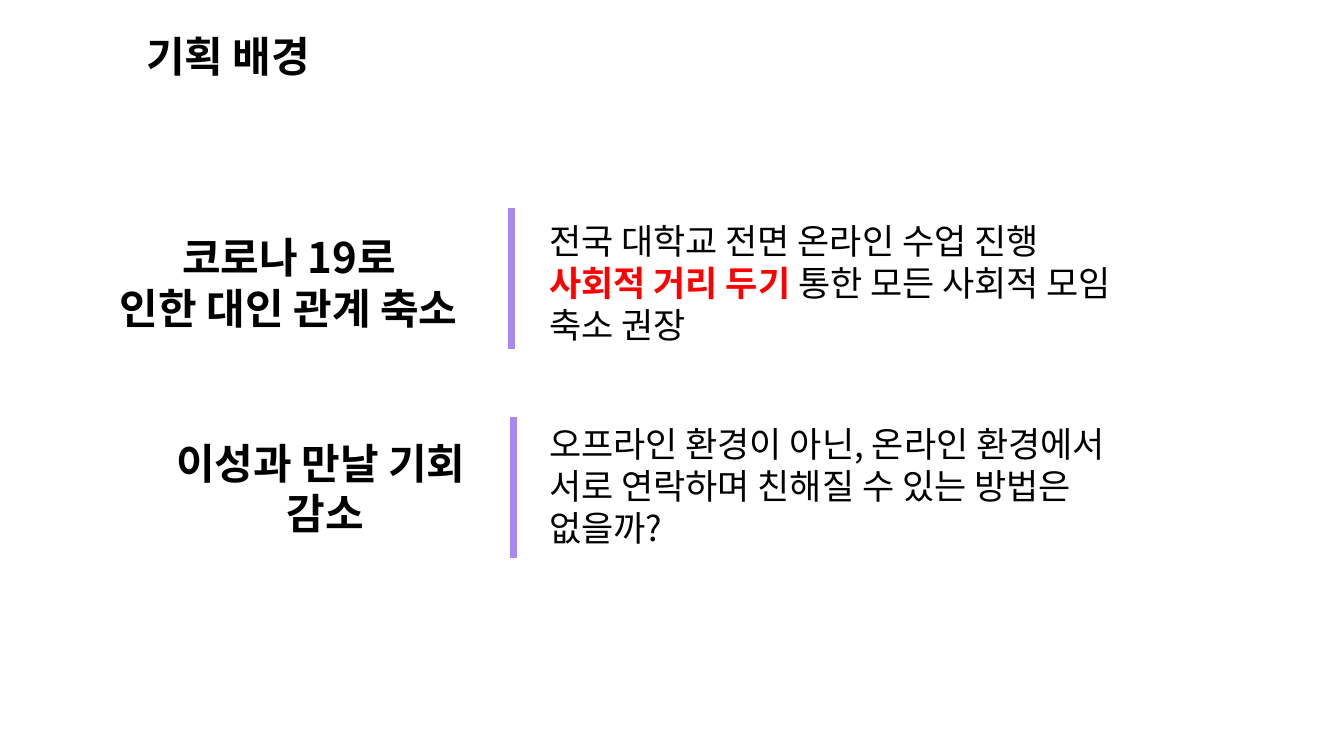
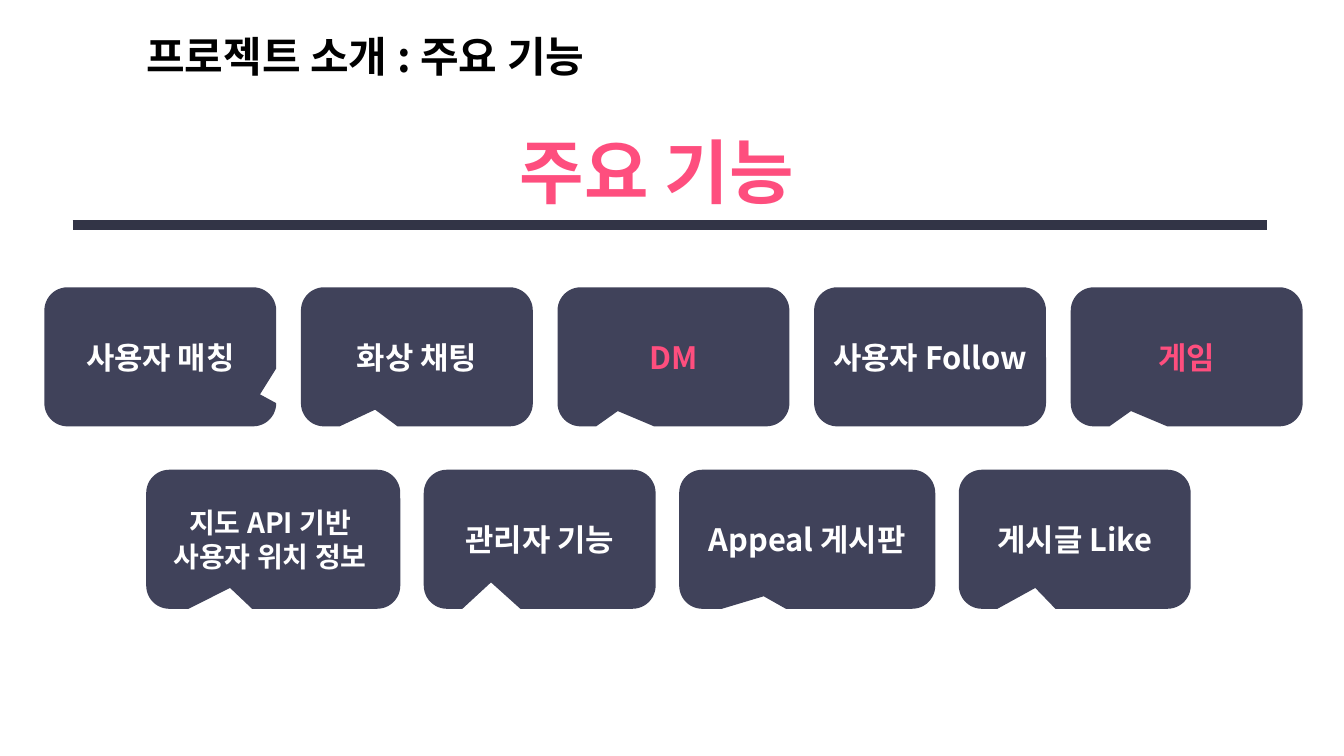
from dataclasses import dataclass

from lxml.etree import SubElement
from pptx import Presentation
from pptx.dml.color import RGBColor
from pptx.enum.shapes import MSO_CONNECTOR, MSO_SHAPE
from pptx.enum.text import MSO_ANCHOR, MSO_AUTO_SIZE, PP_ALIGN
from pptx.oxml.ns import qn
from pptx.util import Inches, Pt


@dataclass(frozen=True)
class Theme:
    font: str = "Noto Sans CJK KR"
    black: str = "000000"
    white: str = "FFFFFF"
    red: str = "FF0000"
    pink: str = "FE4E7E"
    purple: str = "A987F5"
    slate: str = "40425A"
    navy: str = "323446"
    headline_size: int = 50
    title_size: int = 30
    body_size: int = 25
    callout_size: int = 22
    small_callout_size: int = 20
    line_spacing: float = 1.2


THEME = Theme()
TITLE_ONLY = 5

CALLOUT_WIDTH, CALLOUT_HEIGHT = 2.3, 1.38

# Per callout: lines, width, pointer (x, y), text format
HIGHLIGHT = {"color": THEME.pink}
TOP_CALLOUTS = [
    (["사용자 매칭"], CALLOUT_WIDTH, (0.43, 0.27), {}),
    (["화상 채팅"], CALLOUT_WIDTH, (-0.18, 0.38), {}),
    (["DM"], CALLOUT_WIDTH, (-0.24, 0.39), HIGHLIGHT),
    (["사용자 Follow"], CALLOUT_WIDTH, (-0.5, 0.24), {}),
    (["게임"], CALLOUT_WIDTH, (-0.24, 0.39), HIGHLIGHT),
]
BOTTOM_CALLOUTS = [
    (["지도 API 기반 ", "사용자 위치 정보 "], 2.52, (-0.17, 0.35),
     {"size": THEME.small_callout_size}),
    (["관리자 기능"], CALLOUT_WIDTH, (-0.21, 0.31), {}),
    (["Appeal 게시판"], 2.54, (-0.17, 0.41), {}),
    (["게시글 Like"], CALLOUT_WIDTH, (-0.17, 0.35), {}),
]


def set_attributes(target, values):
    for name, value in values.items():
        setattr(target, name, value)


def write_run(paragraph, text, size, color, bold):
    run = paragraph.add_run()
    run.text = text
    set_attributes(run.font, {"name": THEME.font, "size": Pt(size), "bold": bold})
    run.font.color.rgb = RGBColor.from_string(color)
    SubElement(run.font._element, qn("a:ea")).set("typeface", THEME.font)


def write_text(shape, paragraphs, size, color=THEME.black, bold=False,
               align=PP_ALIGN.LEFT, anchor=MSO_ANCHOR.TOP):
    """Write paragraphs; each is a string or a list of (text, overrides) runs."""
    frame = shape.text_frame
    set_attributes(frame, {"word_wrap": True, "auto_size": MSO_AUTO_SIZE.NONE,
                           "vertical_anchor": anchor})
    for index, content in enumerate(paragraphs):
        paragraph = frame.add_paragraph() if index else frame.paragraphs[0]
        set_attributes(paragraph, {
            "alignment": align,
            "line_spacing": Pt(size * THEME.line_spacing),
            "space_before": Pt(0),
        })
        runs = [(content, {})] if isinstance(content, str) else content
        for text, overrides in runs:
            values = {"size": size, "color": color, "bold": bold} | overrides
            write_run(paragraph, text, **values)


def add_text(shapes, box, paragraphs, **text_format):
    shape = shapes.add_textbox(*map(Inches, box))
    write_text(shape, paragraphs, **text_format)


def add_line(shapes, start, end, color, width):
    line = shapes.add_connector(MSO_CONNECTOR.STRAIGHT,
                                *map(Inches, (*start, *end)))
    line.line.color.rgb = RGBColor.from_string(color)
    line.line.width = Pt(width)
    SubElement(line._element.spPr, qn("a:effectLst"))


def add_titled_slide(presentation, title, width):
    slide = presentation.slides.add_slide(presentation.slide_layouts[TITLE_ONLY])
    placeholder = slide.shapes.title
    set_attributes(placeholder, {"left": Inches(1.35), "top": Inches(0.25),
                                 "width": Inches(width), "height": Inches(0.61)})
    write_text(placeholder, [title], THEME.title_size, bold=True)
    return slide


def add_reason(slide, divider, heading_box, heading, body_box, body):
    """Group a centred heading, a vertical divider and its explanation."""
    shapes = slide.shapes.add_group_shape().shapes
    x, top = divider
    add_line(shapes, (x, top), (x, top + 1.4), THEME.purple, 5)
    add_text(shapes, heading_box, heading, size=THEME.title_size, bold=True,
             align=PP_ALIGN.CENTER)
    add_text(shapes, body_box, body, size=THEME.body_size)


def add_callout(slide, box, lines, pointer, text_format):
    callout = slide.shapes.add_shape(MSO_SHAPE.ROUNDED_RECTANGULAR_CALLOUT,
                                     *map(Inches, box))
    for index, value in enumerate(pointer):
        callout.adjustments[index] = value
    callout.shadow.inherit = False
    callout.fill.solid()
    callout.fill.fore_color.rgb = RGBColor.from_string(THEME.slate)
    callout.line.fill.background()
    values = {"size": THEME.callout_size, "color": THEME.white, "bold": True,
              "align": PP_ALIGN.CENTER, "anchor": MSO_ANCHOR.MIDDLE}
    write_text(callout, lines, **(values | text_format))


def add_callout_row(slide, left, right, top, callouts):
    """Spread callouts between left and right with equal gaps."""
    total_width = sum(width for _, width, _, _ in callouts)
    gap = (right - left - total_width) / (len(callouts) - 1)
    for lines, width, pointer, text_format in callouts:
        add_callout(slide, (left, top, width, CALLOUT_HEIGHT), lines, pointer,
                    text_format)
        left += width + gap


def build_background_slide(presentation):
    slide = add_titled_slide(presentation, "기획 배경", 5.32)
    add_reason(
        slide, (5.07, 2.06),
        (0.79, 2.25, 4.15, 1.11), ["코로나 19로", "인한 대인 관계 축소"],
        (5.35, 2.13, 5.79, 1.36),
        ["전국 대학교 전면 온라인 수업 진행",
         [("사회적 거리 두기 ", {"color": THEME.red, "bold": True}),
          ("통한 모든 사회적 모임 축소 권장", {})]])
    add_reason(
        slide, (5.09, 4.14),
        (1.35, 4.29, 3.76, 1.11), ["이성과 만날 기회 ", "감소"],
        (5.35, 4.14, 5.78, 1.36),
        ["오프라인 환경이 아닌, 온라인 환경에서 서로 연락하며 "
         "친해질 수 있는 방법은 없을까?"])


def build_features_slide(presentation):
    slide = add_titled_slide(presentation, "프로젝트 소개 : 주요 기능", 5.52)
    add_text(slide.shapes, (4.65, 1.23, 3.73, 0.94), ["주요 기능"],
             size=THEME.headline_size, color=THEME.pink, bold=True,
             align=PP_ALIGN.CENTER)
    add_line(slide.shapes, (0.72, 2.23), (12.57, 2.23), THEME.navy, 7)
    add_callout_row(slide, 0.44, 12.92, 2.85, TOP_CALLOUTS)
    add_callout_row(slide, 1.45, 11.81, 4.66, BOTTOM_CALLOUTS)


def main():
    presentation = Presentation()
    set_attributes(presentation, {"slide_width": Inches(13.33),
                                  "slide_height": Inches(7.5)})
    build_background_slide(presentation)
    build_features_slide(presentation)
    presentation.save("out.pptx")


if __name__ == "__main__":
    main()
